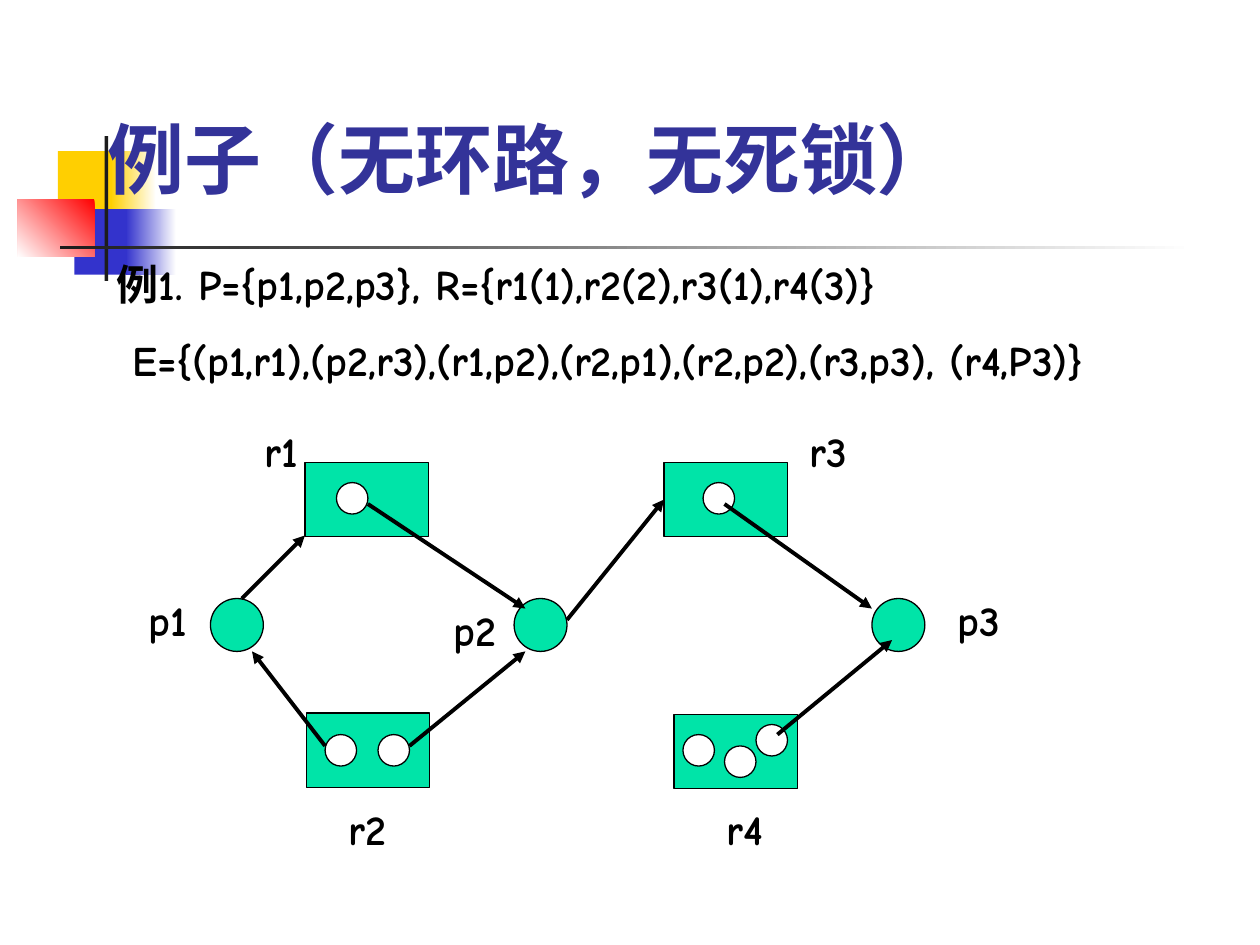
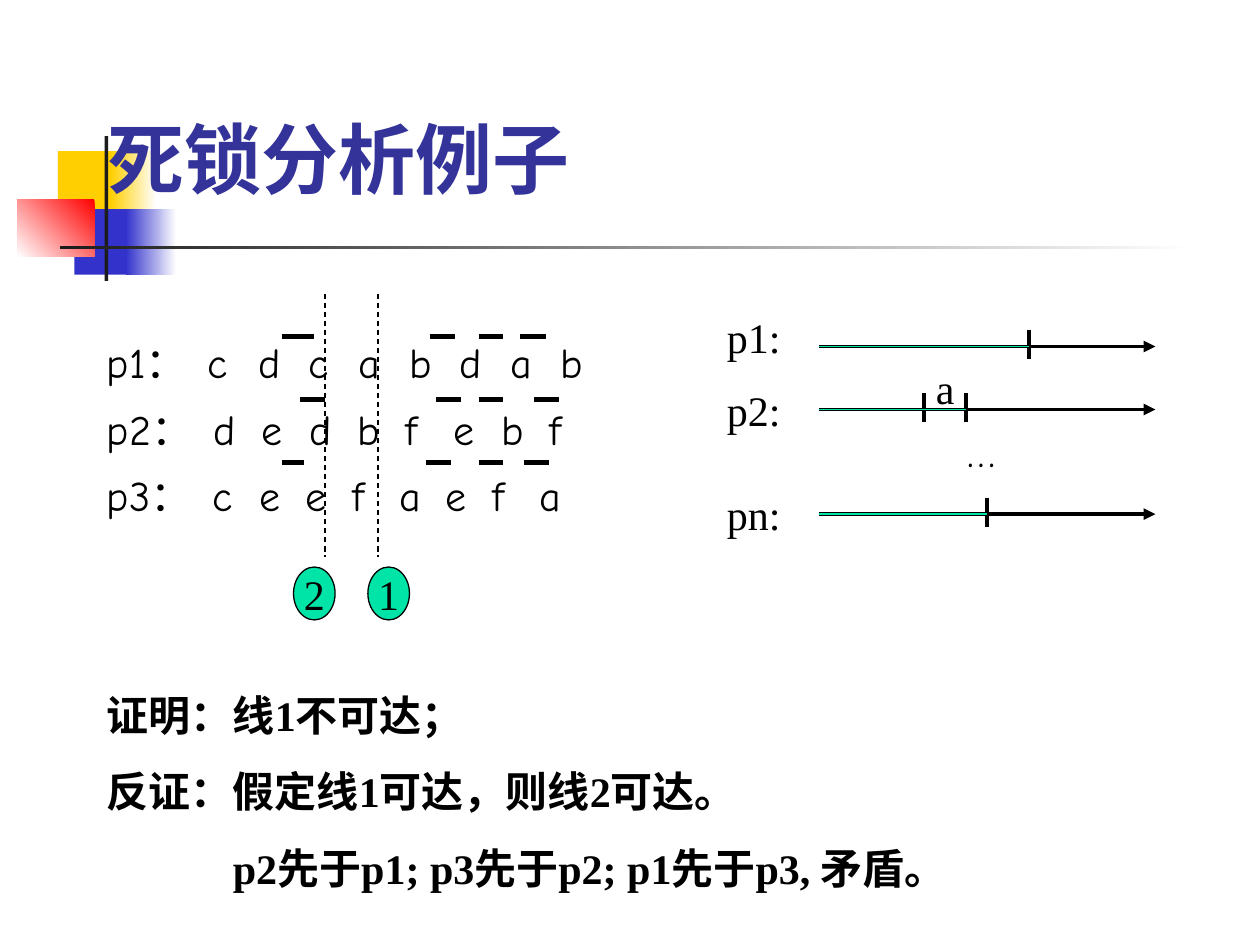
from lxml.etree import SubElement
from pptx import Presentation
from pptx.dml.color import RGBColor
from pptx.enum.dml import MSO_LINE
from pptx.enum.shapes import MSO_CONNECTOR, MSO_SHAPE
from pptx.enum.text import MSO_ANCHOR, MSO_AUTO_SIZE, PP_ALIGN
from pptx.oxml.ns import qn
from pptx.util import Inches, Pt

BLACK, WHITE, GREEN = "000000", "FFFFFF", "00E4A8"
YELLOW, BLUE, RED, DARK = "FFCF01", "3333CC", "FF0000", "1C1C1C"
HAND = {"name": "Comic Neue", "size": Pt(24), "bold": False}
HAND_BOLD = {**HAND, "bold": True}
SERIF = {**HAND, "name": "Times New Roman"}
SERIF_BOLD = {**SERIF, "bold": True}
TITLE = {"name": "Karla", "size": Pt(44), "bold": True}
color = RGBColor.from_string


def add_box(slide, at, lines=(), text_format=HAND, kind=None, fill=None, outline=None):
    """Add a text box, or a preset shape when kind is given."""
    place = [Inches(length) for length in at]
    if kind is None:
        box = slide.shapes.add_textbox(*place)
        box.text_frame.word_wrap = True
        box.text_frame.auto_size = MSO_AUTO_SIZE.SHAPE_TO_FIT_TEXT
    else:
        box = slide.shapes.add_shape(kind, *place)
        box.shadow.inherit = False
        box.fill.solid()
        box.fill.fore_color.rgb = color(fill)
        if outline:
            box.line.color.rgb = color(outline)
            box.line.width = Pt(0.75)
        else:
            box.line.fill.background()
    frame = box.text_frame
    for index, line in enumerate(lines):
        para = frame.add_paragraph() if index else frame.paragraphs[0]
        if index:
            para.space_before = Pt(15)
        span = para.add_run()
        span.text = line
        for name, value in text_format.items():
            setattr(span.font, name, value)
        span.font.color.rgb = color(BLACK)
    return box


def add_line(slide, start, end, width=2.25, tint=BLACK, arrow=False):
    line = slide.shapes.add_connector(
        MSO_CONNECTOR.STRAIGHT, *[Inches(length) for length in (*start, *end)])
    line.line.color.rgb = color(tint)
    line.line.width = Pt(width)
    properties = line._element.spPr
    if arrow:
        SubElement(properties.find(qn("a:ln")), qn("a:tailEnd"), type="triangle")
    SubElement(properties, qn("a:effectLst"))
    return line


deck = Presentation()
deck.slide_width, deck.slide_height = Inches(10), Inches(7.5)
layout = deck.slide_layouts[5]

# Titles
pages = []
for heading in ("例子（无环路，无死锁）", "死锁分析例子"):
    page = deck.slides.add_slide(layout)
    title = page.shapes.title
    title.left, title.top = Inches(0.75), Inches(0.42)
    title.width, title.height = Inches(8.5), Inches(1.25)
    frame = title.text_frame
    frame.vertical_anchor = MSO_ANCHOR.BOTTOM
    frame.auto_size = MSO_AUTO_SIZE.NONE
    frame.text = heading
    frame.paragraphs[0].alignment = PP_ALIGN.LEFT
    font = frame.paragraphs[0].runs[0].font
    for name, value in TITLE.items():
        setattr(font, name, value)
    font.color.rgb = color("333399")
    pages.append(page)
graph_page, proof_page = pages

# Coloured blocks and rules, shared through the layout
decorations = [
    ((0.46, 1.2, 0.48, 0.52), YELLOW, None, 0),
    ((0.88, 1.2, 0.36, 0.52), WHITE, YELLOW, 180),
    ((0.59, 1.66, 0.46, 0.52), BLUE, None, 0),
    ((1, 1.66, 0.4, 0.52), WHITE, BLUE, 180),
    ((0.14, 1.58, 0.61, 0.46), RED, WHITE, 225),
    ((0.83, 1.08, 0.03, 1.15), DARK, None, 0),
    ((0.48, 1.95, 9, 0.03), WHITE, DARK, 180),
]
for position, (at, first, last, angle) in enumerate(decorations):
    block = add_box(graph_page, at, kind=MSO_SHAPE.RECTANGLE, fill=first)
    if last:
        block.fill.gradient()
        block.fill.gradient_angle = angle
        for stop, tint in zip(block.fill.gradient_stops, (first, last)):
            stop.color.rgb = color(tint)
    layout.shapes._spTree.insert(2 + position, block._element)

# Slide 1: the sets
sets = add_box(graph_page, (0.83, 2, 8.42, 1.11), [
    "例1. P={p1,p2,p3}, R={r1(1),r2(2),r3(1),r4(3)}",
    "E={(p1,r1),(p2,r3),(r1,p2),(r2,p1),(r2,p2),(r3,p3), (r4,P3)}",
], HAND_BOLD)
sets.text_frame.paragraphs[1]._p.get_or_add_pPr().set("marL", str(Inches(0.12)))

# Slide 1: resources with their instances, then processes
resources = {
    "r1": ((2.42, 3.67), [(2.67, 3.83)]),
    "r3": ((5.27, 3.67), [(5.58, 3.83)]),
    "r2": ((2.43, 5.66), [(2.58, 5.83), (3, 5.83)]),
    "r4": ((5.35, 5.67), [(5.42, 5.83), (5.75, 5.92), (6, 5.75)]),
}
resource_boxes = {}
for name, (corner, instances) in resources.items():
    resource_boxes[name] = add_box(graph_page, (*corner, 0.98, 0.59),
                                   kind=MSO_SHAPE.RECTANGLE, fill=GREEN, outline=BLACK)
    for instance in instances:
        add_box(graph_page, (*instance, 0.25, 0.25),
                kind=MSO_SHAPE.OVAL, fill=WHITE, outline=BLACK)
for left in (1.67, 4.08, 6.92):
    add_box(graph_page, (left, 4.75, 0.42, 0.42),
            kind=MSO_SHAPE.OVAL, fill=GREEN, outline=BLACK)

node_labels = {
    "p1": (1.08, 4.67), "p2": (3.5, 4.75), "p3": (7.5, 4.67), "r1": (2, 3.33),
    "r3": (6.33, 3.33), "r2": (2.67, 6.33), "r4": (5.67, 6.33),
}
for name, corner in node_labels.items():
    add_box(graph_page, (*corner, 0.67, 0.5), [name], HAND_BOLD)

# Slide 1: request and assignment edges
edges = [
    ((2.92, 4), (4.17, 4.83)),
    ((3.25, 5.92), (4.17, 5.17)),
    ((5.75, 4), (6.92, 4.83)),
    ((2.58, 5.92), (2, 5.17)),
    ((1.92, 4.75), (2.42, 4.25)),
    ((6.17, 5.83), (7.08, 5.08)),
]
for start, end in edges:
    add_line(graph_page, start, end, arrow=True)
request = add_line(graph_page, (4.5, 4.92), (5.27, 3.96), arrow=True)
request.end_connect(resource_boxes["r3"], 1)

# Slide 2: request sequences, letters set on evenly spaced tab stops
sequences = [
    ("p1：", "cdcabdab", 0.8, 0.4),
    ("p2：", "dedbfebf", 0.85, 0.38),
    ("p3：", "ceefaefa", 0.84, 0.37),
]
sequence_box = add_box(proof_page, (0.75, 2.7, 4.5, 1.6),
                       [label + "\t" + "\t".join(letters) for label, letters, *_ in sequences])
for para, (_, letters, first, pitch) in zip(sequence_box.text_frame.paragraphs, sequences):
    para.line_spacing = 0.8
    tab_list = SubElement(para._p.get_or_add_pPr(), qn("a:tabLst"))
    for index in range(len(letters)):
        stop = Inches(round(first + index * pitch, 2))
        SubElement(tab_list, qn("a:tab"), pos=str(stop), algn="l")

# Slide 2: release bars over the letters
release_bars = {
    2.67: [(2.24, 2.49), (3.41, 3.61), (3.8, 3.99), (4.13, 4.33)],
    3.17: [(2.38, 2.58), (3.46, 3.66), (3.8, 3.99), (4.24, 4.44)],
    3.67: [(2.24, 2.41), (3.38, 3.58), (3.8, 3.99), (4.16, 4.36)],
}
for top, bars in release_bars.items():
    for left, right in bars:
        add_line(proof_page, (left, top), (right, top), width=3)

# Slide 2: numbered cut lines
for number, cut, badge_left in (("1", 3, 2.92), ("2", 2.58, 2.33)):
    cut_line = add_line(proof_page, (cut, 2.33), (cut, 4.42), width=0.75)
    cut_line.line.dash_style = MSO_LINE.DASH
    badge = add_box(proof_page, (badge_left, 4.5, 0.33, 0.42), [number], SERIF,
                    MSO_SHAPE.OVAL, GREEN, BLACK)
    badge.text_frame.word_wrap = False
    badge.text_frame.vertical_anchor = MSO_ANCHOR.MIDDLE
    badge.text_frame.paragraphs[0].alignment = PP_ALIGN.CENTER

# Slide 2: proof
proof = add_box(proof_page, (0.75, 5.42, 8.08, 1.72), [
    "证明：线1不可达；",
    "反证：假定线1可达，则线2可达。",
    "p2先于p1; p3先于p2; p1先于p3, 矛盾。",
], SERIF_BOLD)
proof.text_frame.paragraphs[2]._p.get_or_add_pPr().set("marL", str(Inches(1)))

# Slide 2: progress of each process along its time axis
timelines = [
    ("p1:", 2.42, 2.75, [8.17]),
    ("p2:", 3, 3.25, [7.33, 7.67]),
    ("pn:", 3.83, 4.08, [7.83]),
]
for name, label_top, axis, ticks in timelines:
    add_box(proof_page, (5.67, label_top, 0.67, 0.5), [name], SERIF)
    add_line(proof_page, (6.5, axis), (9.17, axis), arrow=True)
    for tick in ticks:
        add_line(proof_page, (tick, axis - 0.13), (tick, axis + 0.1))
    add_line(proof_page, (6.5, axis), (ticks[-1], axis), width=0.75, tint=GREEN)
add_box(proof_page, (7.58, 3.33, 0.75, 0.5), ["…"])
add_box(proof_page, (7.33, 2.83, 0.33, 0.5), ["a"], SERIF)

deck.save("out.pptx")
